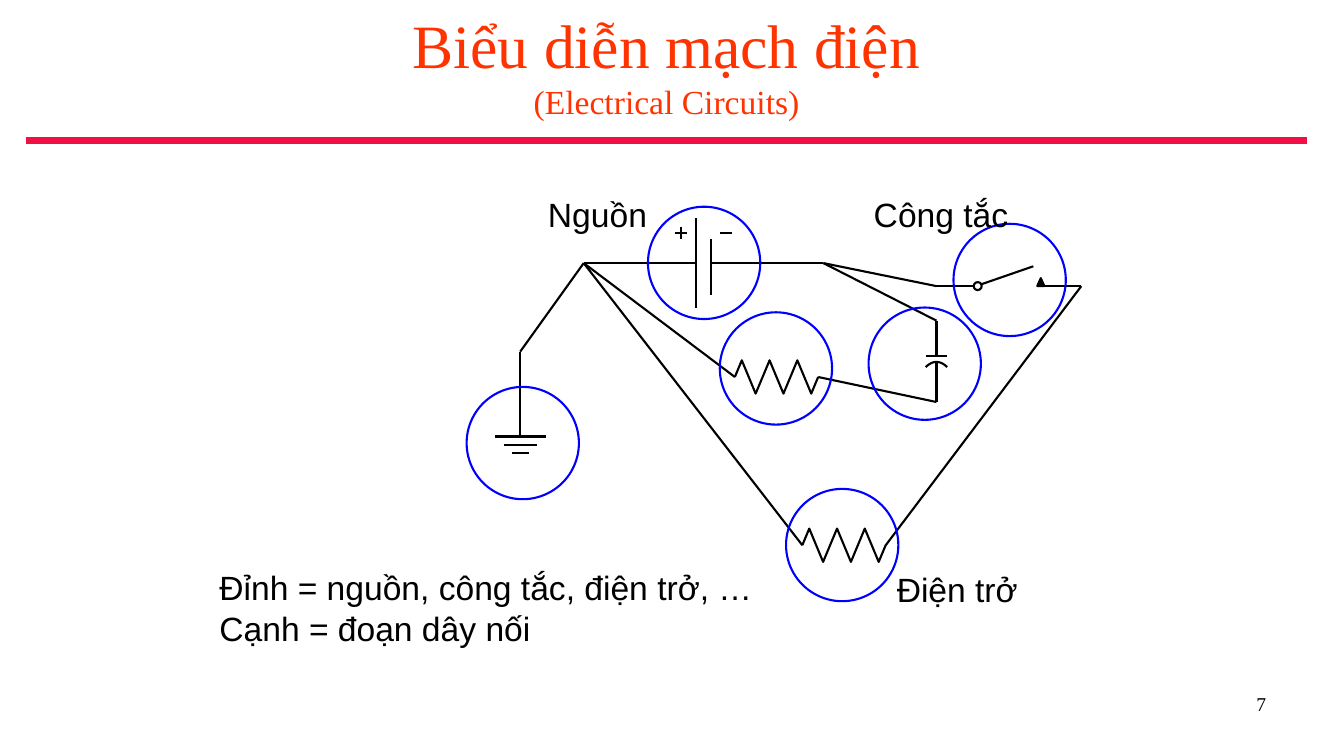
from dataclasses import dataclass

from pptx import Presentation
from pptx import util as u
from pptx.dml.color import RGBColor
from pptx.enum import shapes, text
from pptx.oxml.ns import qn
from lxml import etree


@dataclass(frozen=True)
class Theme:
    ink: str = "000000"
    paper: str = "FFFFFF"
    title: str = "FF3300"
    rule: str = "F01045"
    ring: str = "0000FF"
    serif: str = "Times New Roman"
    sans: str = "Arial"
    head: int = 44
    body: int = 24
    page: int = 14
    wire: float = 1.5
    bar: float = 4.5


T = Theme()

# Circuit nodes, in cm
LEFT, RIGHT = (14.71, 6.63), (20.75, 6.63)
EARTH = (13.11, 8.86)
COIL1, COIL2 = (18.52, 9.5), (20.22, 13.74)
CAP_TOP, CAP_END = (23.6, 8.08), (23.6, 10.13)
SW_IN, SW_OUT = (23.6, 7.21), (27.25, 7.21)
COIL_W = 2.1
RING_D = 2.83
RINGS = [(18.14, 7.87), (19.81, 12.32), (16.33, 5.21),
         (24.03, 5.64), (21.89, 7.75), (11.76, 9.75)]


def color(code):
    return RGBColor.from_string(code)


def style(para, size, face, code):
    font = para.font
    font.name = face
    font.color.rgb = color(code)
    if size:
        font.size = u.Pt(size)


# Lines and shapes
def wire(slide, start, end, code=T.ink, width=T.wire):
    line = slide.shapes.add_connector(
        shapes.MSO_CONNECTOR.STRAIGHT, *map(u.Cm, (*start, *end)))
    line.line.color.rgb = color(code)
    line.line.width = u.Pt(width)
    etree.SubElement(line._element.spPr, qn("a:effectLst"))


def paint(shape, code, fill=None):
    shape.shadow.inherit = False
    if fill:
        shape.fill.solid()
        shape.fill.fore_color.rgb = color(fill)
    else:
        shape.fill.background()
    shape.line.color.rgb = color(code)
    shape.line.width = u.Pt(T.wire)


def solid(slide, kind, box, code, fill=None):
    paint(slide.shapes.add_shape(kind, *map(u.Cm, box)), code, fill)


def curve(slide, points):
    dots = [(u.Cm(x), u.Cm(y)) for x, y in points]
    path = slide.shapes.build_freeform(*dots[0])
    path.add_line_segments(dots[1:], close=False)
    paint(path.convert_to_shape(), T.ink)


# Circuit parts
def coil(slide, start):
    x, y = start
    step = COIL_W / 12
    peaks = [(x + step * n, y + (0.42 if n % 4 == 3 else -0.42))
             for n in range(1, 12, 2)]
    curve(slide, [start, *peaks, (x + COIL_W, y)])


def ground(slide):
    x, y = EARTH
    foot = y + 2.14
    wire(slide, EARTH, (x, foot))
    for row, half in enumerate((0.64, 0.42, 0.21)):
        level = foot + 0.21 * row
        wire(slide, (x - half, level), (x + half, level))


def source(slide):
    y = LEFT[1]
    wire(slide, LEFT, (17.54, y))
    wire(slide, (17.91, y), RIGHT)
    wire(slide, (17.54, 5.49), (17.54, 7.75))
    wire(slide, (17.91, 6.02), (17.91, 7.44))
    # Plus and minus signs
    wire(slide, (17.17, 5.72), (17.17, 6.02))
    for x in (17.02, 18.14):
        wire(slide, (x, 5.87), (x + 0.3, 5.87))


def cell(slide):
    x = CAP_TOP[0]
    wire(slide, CAP_TOP, (x, 8.98))
    wire(slide, (x - 0.26, 8.98), (x + 0.26, 8.98))
    wire(slide, CAP_END, (x, 9.12))
    curve(slide, [(x + 0.06 * n / 2, 9.12 + 0.13 * (n / 9) ** 2)
                  for n in range(-9, 10, 2)])


def switch(slide):
    y = SW_IN[1]
    wire(slide, SW_IN, (24.54, y))
    wire(slide, (26.31, y), SW_OUT)
    kind = shapes.MSO_SHAPE
    solid(slide, kind.OVAL, (24.54, y - 0.1, 0.2, 0.2), T.ink, T.paper)
    wire(slide, (24.74, 7.16), (26.04, 6.71))
    solid(slide, kind.ISOSCELES_TRIANGLE, (26.14, y - 0.2, 0.18, 0.2),
          T.ink, T.ink)


# Text
def label(slide, box, lines, face=T.sans, size=T.body, align=None):
    frame = slide.shapes.add_textbox(*map(u.Cm, box)).text_frame
    frame.word_wrap = False
    frame.text = "\n".join(lines)
    for para in frame.paragraphs:
        para.alignment = align
        style(para, size, face, T.ink)


def title(slide):
    shape = slide.shapes.title
    shape.left, shape.top, shape.width, shape.height = map(
        u.Cm, (4.72, 0.89, 24.16, 1.47))
    frame = shape.text_frame
    frame.auto_size = text.MSO_AUTO_SIZE.NONE
    frame.vertical_anchor = text.MSO_ANCHOR.MIDDLE
    para = frame.paragraphs[0]
    para.alignment = text.PP_ALIGN.CENTER
    style(para, None, T.serif, T.title)
    para.text = "Biểu diễn mạch điện\v(Electrical Circuits)"
    for run, size in zip(para.runs, (T.head, T.body)):
        run.font.size = u.Pt(size)


def main():
    deck = Presentation()
    deck.slide_width, deck.slide_height = u.Cm(33.87), u.Cm(19.05)
    slide = deck.slides.add_slide(deck.slide_layouts[5])

    # Heading and page number
    wire(slide, (0.66, 3.54), (32.94, 3.54), T.rule, T.bar)
    title(slide)
    label(slide, (24.26, 17.32, 7.9, 1.32), ["7"], T.serif, T.page,
          text.PP_ALIGN.RIGHT)

    # Components
    ground(slide)
    source(slide)
    cell(slide)
    switch(slide)
    for start in (COIL1, COIL2):
        coil(slide, start)

    # Wires between components
    ends = [(x + COIL_W, y) for x, y in (COIL1, COIL2)]
    for pair in ((LEFT, EARTH), (LEFT, COIL1), (LEFT, COIL2),
                 (RIGHT, CAP_TOP), (RIGHT, SW_IN),
                 (CAP_END, ends[0]), (SW_OUT, ends[1])):
        wire(slide, *pair)

    # Vertex rings and labels
    for x, y in RINGS:
        solid(slide, shapes.MSO_SHAPE.OVAL, (x, y, RING_D, RING_D), T.ring)
    label(slide, (5.28, 14.17, 14.07, 2.31),
          ["Đỉnh = nguồn, công tắc, điện trở, …", "Cạnh = đoạn dây nối"])
    label(slide, (13.56, 4.75, 3.02, 1.27), ["Nguồn"])
    label(slide, (21.77, 4.75, 3.91, 1.27), ["Công tắc"])
    label(slide, (22.35, 14.22, 3.56, 1.27), ["Điện trở"])

    deck.save("out.pptx")


if __name__ == "__main__":
    main()
